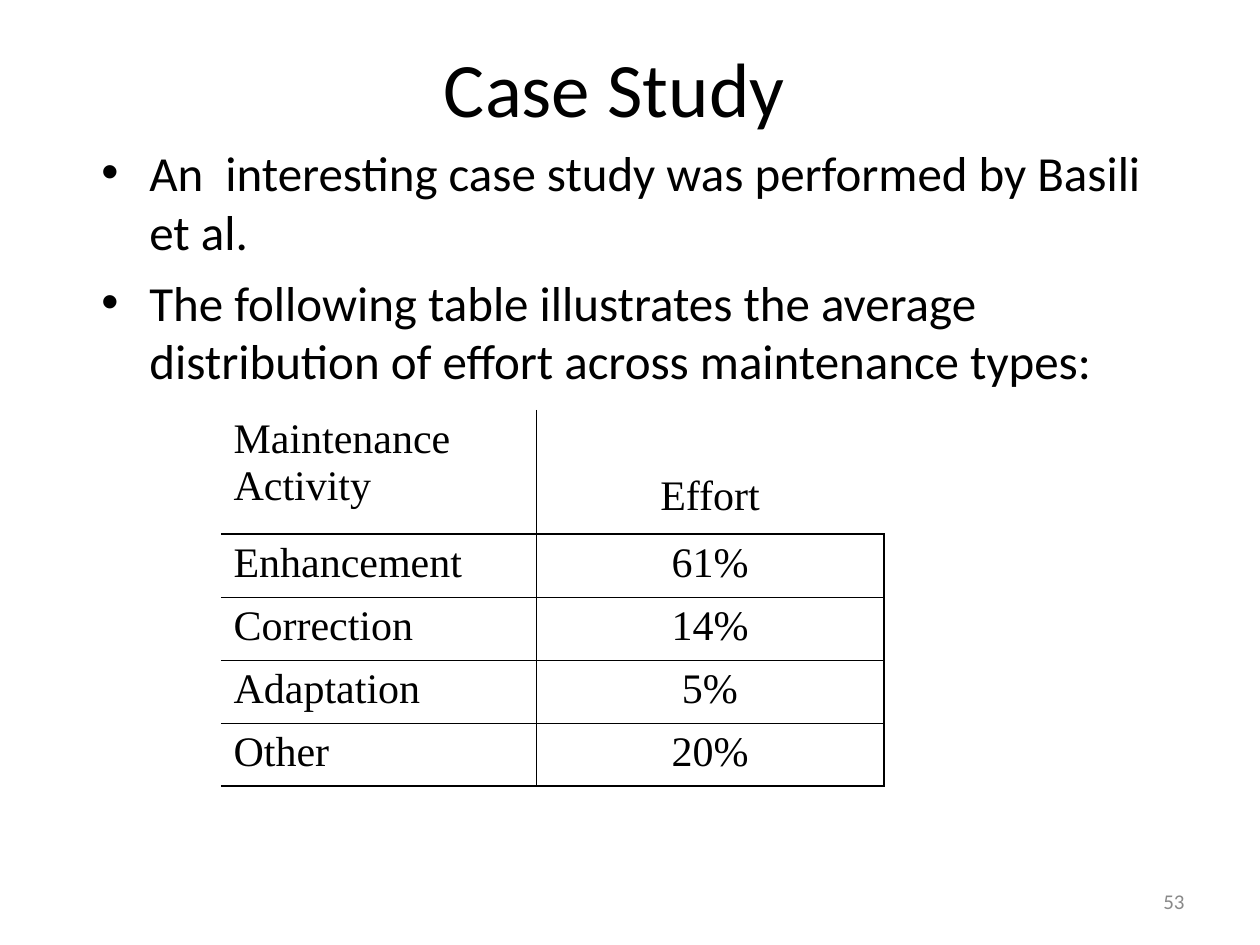
import pptx
import pptx.dml.color
import pptx.enum.text
import pptx.oxml
import pptx.oxml.ns
import pptx.util

PX = 914400 / 126  # EMU per pixel
BLACK = "000000"
ALIGN = pptx.enum.text.PP_ALIGN
ANCHOR = pptx.enum.text.MSO_ANCHOR

ROWS = [
    ("Maintenance Activity", "Effort"),
    ("Enhancement", "61%"),
    ("Correction", "14%"),
    ("Adaptation", "5%"),
    ("Other", "20%"),
]
COLUMN_WIDTHS = (315, 348)
HEADER_HEIGHT, ROW_HEIGHT = 124, 63
THIN, MEDIUM, THICK = 0.45, 0.75, 1.08


def px(length):
    return pptx.util.Emu(round(length * PX))


def color(value):
    return pptx.dml.color.RGBColor.from_string(value)


def add_bullet(para, indent):
    props = para._p.get_or_add_pPr()
    props.set("marL", str(px(indent)))
    props.set("indent", str(-px(indent)))
    namespace = pptx.oxml.ns.nsdecls("a")
    props.append(pptx.oxml.parse_xml(f'<a:buFont {namespace} typeface="Arial"/>'))
    props.append(pptx.oxml.parse_xml(f'<a:buChar {namespace} char="•"/>'))


def write(frame, lines, size, font="Calibri", fill=BLACK, align=ALIGN.LEFT,
          anchor=ANCHOR.TOP, gap=0, bullet_indent=0):
    frame.word_wrap = True
    frame.vertical_anchor = anchor
    for index, line in enumerate(lines):
        para = frame.add_paragraph() if index else frame.paragraphs[0]
        para.alignment = align
        if index:
            para.space_before = pptx.util.Pt(gap)
        if bullet_indent:
            add_bullet(para, bullet_indent)
        span = para.add_run()
        span.text = line
        span.font.size = pptx.util.Pt(size)
        span.font.name = font
        span.font.color.rgb = color(fill)


def add_text(page, left, top, width, height, lines, **style):
    box = page.shapes.add_textbox(px(left), px(top), px(width), px(height))
    write(box.text_frame, lines, **style)


def set_borders(cell, **widths):
    """Draw the given sides (L, R, T, B) and clear the others."""
    props = cell._tc.get_or_add_tcPr()
    namespace = pptx.oxml.ns.nsdecls("a")
    for index, side in enumerate("LRTB"):
        width = widths.get(side, 0)
        paint = (f'<a:solidFill><a:srgbClr val="{BLACK}"/></a:solidFill>'
                 if width else "<a:noFill/>")
        props.insert(index, pptx.oxml.parse_xml(
            f'<a:ln{side} {namespace} w="{pptx.util.Pt(width)}">{paint}</a:ln{side}>'))


def add_effort_table(page, left, top):
    height = HEADER_HEIGHT + ROW_HEIGHT * (len(ROWS) - 1)
    table = page.shapes.add_table(
        len(ROWS), len(COLUMN_WIDTHS),
        px(left), px(top), px(sum(COLUMN_WIDTHS)), px(height)).table
    table.first_row = table.horz_banding = False
    for column, width in zip(table.columns, COLUMN_WIDTHS):
        column.width = px(width)

    # Line widths above and below each row
    last = len(ROWS) - 1
    rules = [0, MEDIUM] + [THIN] * (last - 1) + [THICK]
    for r, values in enumerate(ROWS):
        table.rows[r].height = px(ROW_HEIGHT if r else HEADER_HEIGHT)
        for c, value in enumerate(values):
            cell = table.cell(r, c)
            write(cell.text_frame, [value], size=24, font="Times New Roman",
                  align=ALIGN.CENTER if c else ALIGN.LEFT)
            cell.fill.background()
            edges = {"L": THIN, "R": THICK if r else 0} if c else {"R": THIN}
            set_borders(cell, T=rules[r], B=rules[r + 1], **edges)

    # The effort heading sits low in its tall cell
    heading = table.cell(0, 1)
    heading.vertical_anchor = ANCHOR.BOTTOM
    heading.margin_bottom = px(14)


def main():
    deck = pptx.Presentation()
    deck.slide_width, deck.slide_height = px(1260), px(945)
    page = deck.slides.add_slide(deck.slide_layouts[6])

    # Slide number
    add_text(page, 903, 876, 294, 50, ["53"], size=12, fill="898989",
             align=ALIGN.RIGHT, anchor=ANCHOR.MIDDLE)
    # Introduction
    add_text(page, 89, 136, 1071, 766, [
        "An  interesting case study was performed by Basili et al.",
        "The following table illustrates the average distribution of effort "
        "across maintenance types:",
    ], size=28, gap=7, bullet_indent=48)
    # Effort by maintenance type
    add_effort_table(page, 221, 410)
    # Title
    add_text(page, 79, 28, 1071, 118, ["Case Study"], size=44,
             align=ALIGN.CENTER, anchor=ANCHOR.MIDDLE)

    deck.save("out.pptx")


if __name__ == "__main__":
    main()
